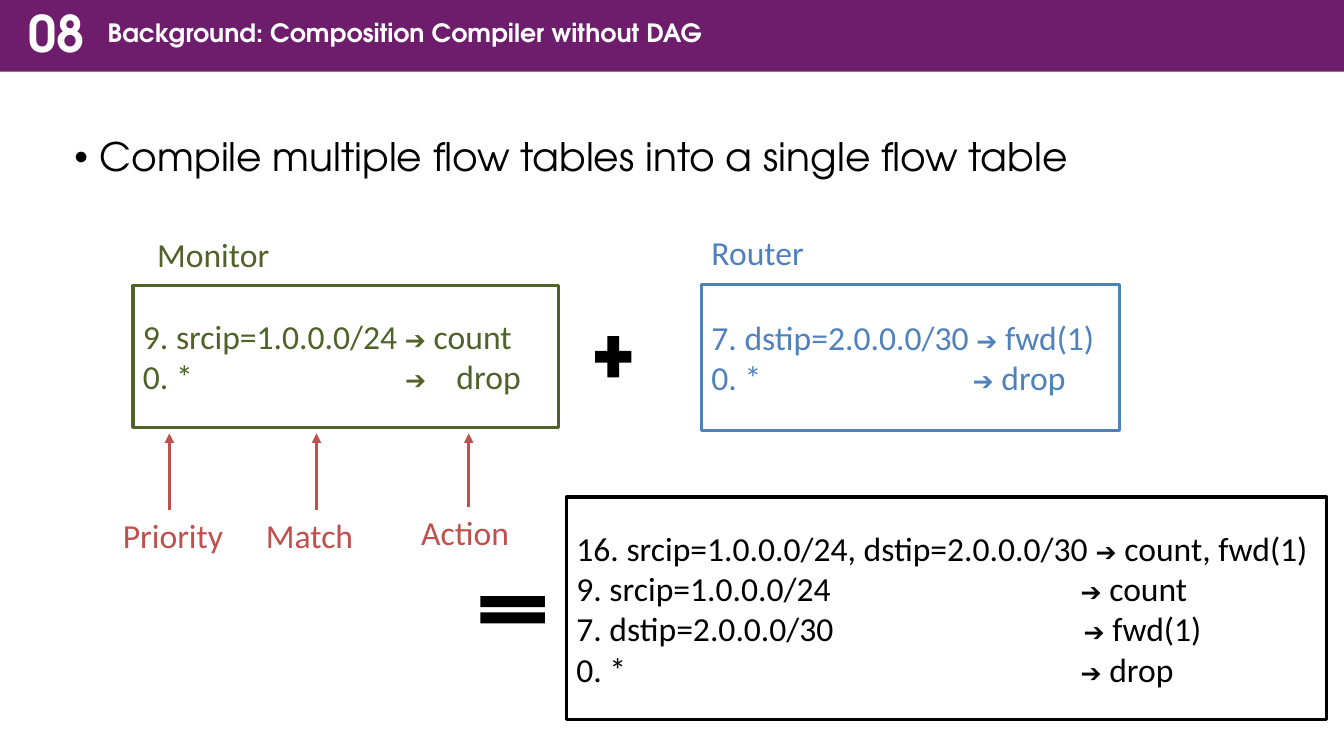
from dataclasses import dataclass

from lxml.etree import SubElement
from pptx import Presentation
from pptx.dml.color import RGBColor
from pptx.enum.shapes import MSO_CONNECTOR as Connector, MSO_SHAPE as Preset
from pptx.enum.text import MSO_ANCHOR as Anchor, PP_ALIGN as Align
from pptx.oxml.ns import qn
from pptx.shapes.base import BaseShape
from pptx.slide import Slide
from pptx.text.text import TextFrame, _Paragraph as Paragraph
from pptx.util import Emu, Inches, Pt

COLORS = {"purple": "6D1D6B", "white": "FFFFFF", "black": "000000",
          "green": "4F6228", "blue": "4F81BD", "red": "C0504D"}
HEADING_FONT, BODY_FONT, ARROW_FONT = "TeX Gyre Adventor", "Calibri", "Arial"
WIDTH, HEIGHT = Inches(13.33), Inches(7.5)
COLUMN, ROW = WIDTH / 160, HEIGHT / 90
LINE_WIDTH = Pt(2.25)
LABEL_ROWS = 6
ARROW_TIP = 51.6


@dataclass(frozen=True)
class Area:
    column: float
    row: float
    columns: float
    rows: float

    def emu(self) -> tuple[Emu, Emu, Emu, Emu]:
        return (Emu(round(self.column * COLUMN)), Emu(round(self.row * ROW)),
                Emu(round(self.columns * COLUMN)), Emu(round(self.rows * ROW)))


@dataclass(frozen=True)
class Style:
    color: str
    size: float = 24
    font: str = BODY_FONT
    bold: bool = False


@dataclass(frozen=True)
class Rule:
    match: str
    action: str
    tabs: tuple[float, ...] = ()


@dataclass(frozen=True)
class FlowTable:
    area: Area
    color: str
    rules: tuple[Rule, ...]


@dataclass(frozen=True)
class Label:
    text: str
    color: str
    area: Area


@dataclass(frozen=True)
class Callout:
    label: Label
    arrow_column: float


@dataclass(frozen=True)
class Symbol:
    preset: Preset
    area: Area
    color: str


BAND = Symbol(Preset.RECTANGLE, Area(0, 0, 160, 8.52), "purple")
OPERATORS = (
    Symbol(Preset.MATH_PLUS, Area(70.08, 39.12, 5.88, 6.72), "black"),
    Symbol(Preset.MATH_EQUAL, Area(55.8, 69.84, 10.44, 5.52), "black"),
)
TABLES = (
    FlowTable(Area(15.84, 33.96, 50.64, 16.92), "green", (
        Rule("9. srcip=1.0.0.0/24 ", " count"),
        Rule("0. *\t", "\tdrop", (2.6, 3.11)))),
    FlowTable(Area(83.52, 33.84, 49.8, 17.4), "blue", (
        Rule("7. dstip=2.0.0.0/30 ", " fwd(1)"),
        Rule("0. *\t", " drop", (2.59,)))),
    FlowTable(Area(67.44, 59.16, 90.48, 26.52), "black", (
        Rule("16. srcip=1.0.0.0/24, dstip=2.0.0.0/30 ", " count, fwd(1)"),
        Rule("9. srcip=1.0.0.0/24\t", " count", (5,)),
        Rule("7. dstip=2.0.0.0/30\t", " fwd(1)", (5.03,)),
        Rule("0. *\t", " drop", (5,)))),
)
TABLE_NAMES = (
    Label("Monitor", "green", Area(17.52, 27.24, 23.52, LABEL_ROWS)),
    Label("Router", "blue", Area(83.52, 27, 23.52, LABEL_ROWS)),
)
CALLOUTS = (
    Callout(Label("Priority", "red", Area(13.44, 60.72, 14.4, LABEL_ROWS)), 20.16),
    Callout(Label("Match", "red", Area(30.48, 60.72, 14.4, LABEL_ROWS)), 37.68),
    Callout(Label("Action", "red", Area(48.96, 60.36, 14.4, LABEL_ROWS)), 55.8),
)


def rgb(name: str) -> RGBColor:
    return RGBColor.from_string(COLORS[name])


def add_run(paragraph: Paragraph, text: str, style: Style) -> None:
    run = paragraph.add_run()
    run.text = text
    run.font.name = style.font
    run.font.size = Pt(style.size)
    run.font.bold = style.bold
    run.font.color.rgb = rgb(style.color)


def add_symbol(slide: Slide, symbol: Symbol) -> BaseShape:
    shape = slide.shapes.add_shape(symbol.preset, *symbol.area.emu())
    shape.shadow.inherit = False
    shape.fill.solid()
    shape.fill.fore_color.rgb = rgb(symbol.color)
    shape.line.fill.background()
    return shape


def add_text(slide: Slide, area: Area, text: str, style: Style) -> TextFrame:
    frame = slide.shapes.add_textbox(*area.emu()).text_frame
    frame.word_wrap = True
    add_run(frame.paragraphs[0], text, style)
    return frame


def add_label(slide: Slide, label: Label) -> None:
    add_text(slide, label.area, label.text, Style(label.color))


def add_bullet(paragraph: Paragraph) -> None:
    properties = paragraph._p.get_or_add_pPr()
    properties.set("marL", str(Inches(0.25)))
    properties.set("indent", str(Inches(-0.25)))
    SubElement(properties, qn("a:buFont")).set("typeface", "Arial")
    SubElement(properties, qn("a:buChar")).set("char", "•")


def add_tabs(paragraph: Paragraph, tabs: tuple[float, ...]) -> None:
    tab_list = SubElement(paragraph._p.get_or_add_pPr(), qn("a:tabLst"))
    for position in tabs:
        SubElement(tab_list, qn("a:tab"), pos=str(Inches(position)), algn="l")


def add_flow_table(slide: Slide, table: FlowTable) -> None:
    shape = add_symbol(slide, Symbol(Preset.RECTANGLE, table.area, "white"))
    shape.line.color.rgb = rgb(table.color)
    shape.line.width = LINE_WIDTH
    frame = shape.text_frame
    frame.word_wrap = True
    frame.vertical_anchor = Anchor.MIDDLE
    for index, rule in enumerate(table.rules):
        paragraph = frame.add_paragraph() if index else frame.paragraphs[0]
        paragraph.alignment = Align.LEFT
        if rule.tabs:
            add_tabs(paragraph, rule.tabs)
        add_run(paragraph, rule.match, Style(table.color))
        add_run(paragraph, "➔", Style(table.color, 18, ARROW_FONT))
        add_run(paragraph, rule.action, Style(table.color))


def add_callout(slide: Slide, callout: Callout) -> None:
    add_label(slide, callout.label)
    column = round(callout.arrow_column * COLUMN)
    start, tip = round(callout.label.area.row * ROW), round(ARROW_TIP * ROW)
    arrow = slide.shapes.add_connector(Connector.STRAIGHT, column, start, column, tip)
    arrow.line.color.rgb = rgb(callout.label.color)
    arrow.line.width = LINE_WIDTH
    SubElement(arrow.line._get_or_add_ln(), qn("a:tailEnd")).set("type", "triangle")
    SubElement(arrow._element.spPr, qn("a:effectLst"))


def add_headings(slide: Slide) -> None:
    add_symbol(slide, BAND)
    title = add_text(slide, Area(11.64, 1.92, 133.68, 4.8),
                     "Background: Composition Compiler without DAG",
                     Style("white", 18, HEADING_FONT, True))
    number = add_text(slide, Area(2.16, 1.08, 9.48, 6.36), "08",
                      Style("white", 36, HEADING_FONT, True))
    number.vertical_anchor = Anchor.MIDDLE
    statement = add_text(slide, Area(7.68, 15.84, 131.4, 11.28),
                         "Compile multiple flow tables into a single flow table",
                         Style("black", 28, HEADING_FONT))
    for frame in (title, number, statement):
        frame.paragraphs[0].line_spacing = 0.9
    add_bullet(statement.paragraphs[0])


def main() -> None:
    presentation = Presentation()
    presentation.slide_width, presentation.slide_height = WIDTH, HEIGHT
    slide = presentation.slides.add_slide(presentation.slide_layouts[6])
    add_headings(slide)
    for operator in OPERATORS:
        add_symbol(slide, operator)
    for table in TABLES:
        add_flow_table(slide, table)
    for name in TABLE_NAMES:
        add_label(slide, name)
    for callout in CALLOUTS:
        add_callout(slide, callout)
    presentation.save("out.pptx")


if __name__ == "__main__":
    main()
